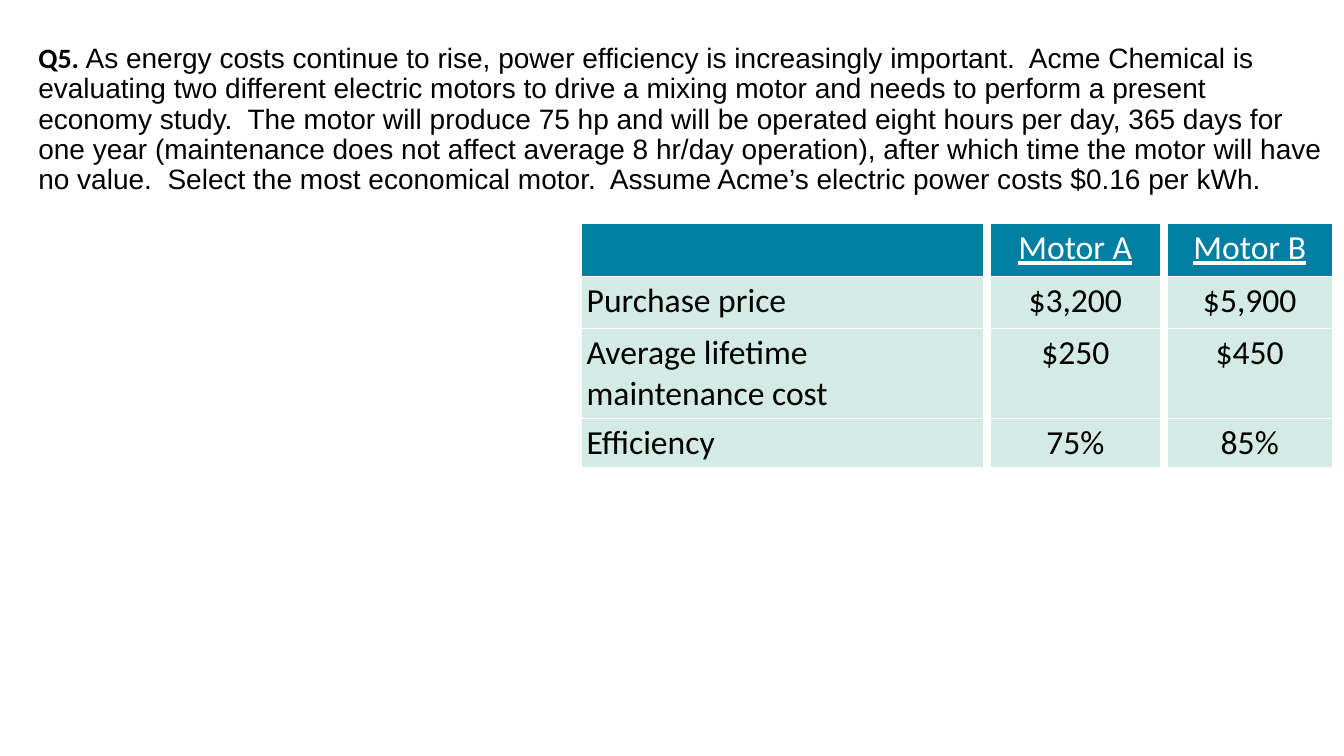
import dataclasses

import lxml.etree
import pptx
import pptx.dml.color
import pptx.enum.text
import pptx.oxml.ns
import pptx.util

Pt = pptx.util.Pt
RGBColor = pptx.dml.color.RGBColor


@dataclasses.dataclass(frozen=True)
class Theme:
    """Colours, fonts and sizes shared by the slide."""

    header_fill: RGBColor = RGBColor.from_string("007FA3")
    body_fill: RGBColor = RGBColor.from_string("D4EAE4")
    ink: RGBColor = RGBColor.from_string("000000")
    paper: RGBColor = RGBColor.from_string("FFFFFF")
    label_font: str = "Calibri"
    text_font: str = "Arial"
    question_size: float = 20
    table_size: float = 24


THEME = Theme()
QUESTION_LABEL = "Q5. "
QUESTION = (
    "As energy costs continue to rise, power efficiency is increasingly important.  "
    "Acme Chemical is evaluating two different electric motors to drive a mixing motor "
    "and needs to perform a present economy study.  The motor will produce 75 hp and "
    "will be operated eight hours per day, 365 days for one year (maintenance does not "
    "affect average 8 hr/day operation), after which time the motor will have no value.  "
    "Select the most economical motor.  Assume Acme’s electric power costs $0.16 per kWh."
)
MOTORS = [
    ["", "Motor A", "Motor B"],
    ["Purchase price", "$3,200", "$5,900"],
    ["Average lifetime maintenance cost", "$250", "$450"],
    ["Efficiency", "75%", "85%"],
]
COLUMN_WIDTHS = [291.6, 126.4, 122.8]
ROW_HEIGHTS = [37.5, 37.5, 39.6, 32.4]
BORDER_WIDTHS = {"a:lnL": 6, "a:lnR": 6, "a:lnT": 0.75, "a:lnB": 0.75}


def style_span(span, font, size, color, bold=False, underline=False):
    """Format one run of text."""
    span.font.name = font
    span.font.size = Pt(size)
    span.font.color.rgb = color
    span.font.bold = bold
    span.font.underline = underline


def add_child(parent, tag, **attributes):
    """Append an XML element with the given attributes."""
    return lxml.etree.SubElement(parent, pptx.oxml.ns.qn(tag), attributes)


def fill_question(body, left, top, width, height):
    """Place the body placeholder and write the question in it."""
    body.left, body.top, body.width, body.height = map(Pt, (left, top, width, height))
    frame = body.text_frame
    frame.word_wrap = True
    frame.auto_size = pptx.enum.text.MSO_AUTO_SIZE.NONE
    para = frame.paragraphs[0]
    properties = para._p.get_or_add_pPr()
    properties.set("marL", "0")
    properties.set("indent", "0")
    add_child(properties, "a:buNone")
    para.line_spacing = 0.9
    para.space_before = Pt(0)
    label, wording = para.add_run(), para.add_run()
    label.text, wording.text = QUESTION_LABEL, QUESTION
    style_span(label, THEME.label_font, THEME.question_size, THEME.ink, bold=True)
    style_span(wording, THEME.text_font, THEME.question_size, THEME.ink)


def add_borders(cell):
    """Draw the borders that part a cell from its neighbours."""
    properties = cell._tc.get_or_add_tcPr()
    for tag, width in BORDER_WIDTHS.items():
        line = add_child(properties, tag, w=str(int(Pt(width))))
        solid = add_child(line, "a:solidFill")
        add_child(solid, "a:srgbClr", val=str(THEME.paper))


def fill_cell(cell, text, is_header, is_label):
    """Write and format one cell of the table."""
    cell.margin_left = cell.margin_right = Pt(5.76)
    cell.margin_top = cell.margin_bottom = Pt(2.88)
    add_borders(cell)
    cell.fill.solid()
    cell.fill.fore_color.rgb = THEME.header_fill if is_header else THEME.body_fill
    cell.text_frame.text = text
    para = cell.text_frame.paragraphs[0]
    alignments = pptx.enum.text.PP_ALIGN
    para.alignment = alignments.LEFT if is_label else alignments.CENTER
    color = THEME.paper if is_header else THEME.ink
    for span in para.runs:
        style_span(span, THEME.label_font, THEME.table_size, color, underline=is_header)


def add_motor_table(page, left, top, width, height):
    """Add the table that compares the two motors."""
    holder = page.shapes.add_table(
        len(MOTORS), len(MOTORS[0]), Pt(left), Pt(top), Pt(width), Pt(height)
    )
    table = holder.table
    table.horz_banding = False
    for column, column_width in zip(table.columns, COLUMN_WIDTHS):
        column.width = Pt(column_width)
    for row, row_height in zip(table.rows, ROW_HEIGHTS):
        row.height = Pt(row_height)
    holder.height = Pt(height)
    for row_index, texts in enumerate(MOTORS):
        for column_index, text in enumerate(texts):
            cell = table.cell(row_index, column_index)
            fill_cell(cell, text, row_index == 0, column_index == 0)


def add_question_page(deck):
    """Add the slide with the question and its table."""
    page = deck.slides.add_slide(deck.slide_layouts[1])
    title = page.shapes.title.element
    title.getparent().remove(title)
    fill_question(page.placeholders[1], 20.16, 28.08, 934.56, 342.72)
    add_motor_table(page, 413.28, 159.84, sum(COLUMN_WIDTHS), 172.8)


def main():
    """Build the deck and save it."""
    deck = pptx.Presentation()
    deck.slide_width, deck.slide_height = Pt(960), Pt(540)
    add_question_page(deck)
    deck.save("out.pptx")


if __name__ == "__main__":
    main()
